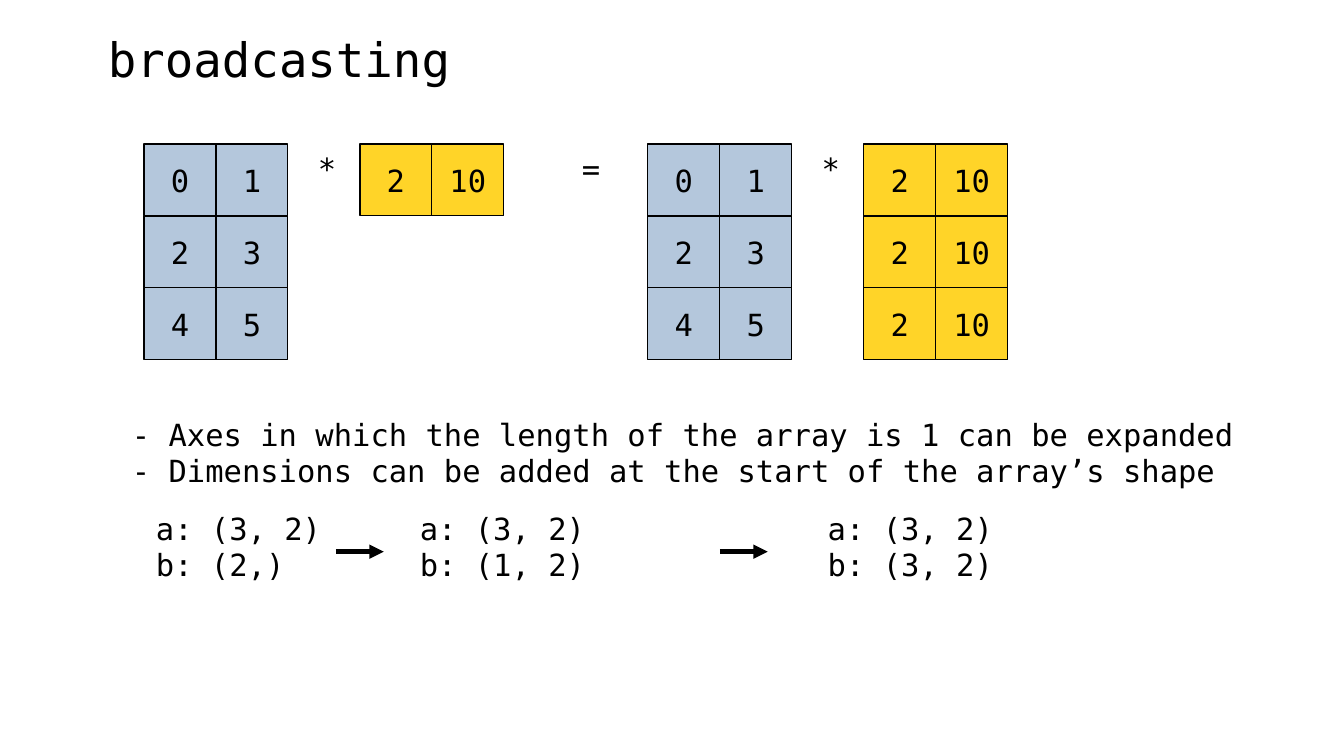
from dataclasses import dataclass

from lxml import etree
from pptx import Presentation
from pptx import util as u
from pptx.dml.color import RGBColor
from pptx.enum import shapes, text
from pptx.oxml.ns import qn

EMU_PER_PX = 7495
CELL = 72
GRID_TOP = 144
SHAPE_TOP = 504
ARROW_Y = 552
MARGIN_X, MARGIN_Y = 12, 6
FONT = "DejaVu Sans Mono"
BLACK, BLUE, YELLOW = "000000", "B4C7DC", "FFD428"


@dataclass(frozen=True)
class Matrix:
    left: int
    rows: list[list[int]]
    color: str


@dataclass(frozen=True)
class Label:
    wording: str
    left: int
    top: int
    width: int
    height: int
    size: int = 18
    indent: int = 0


A = [[0, 1], [2, 3], [4, 5]]
B = [[2, 10]]

MATRICES = [
    Matrix(144, A, BLUE),
    Matrix(360, B, YELLOW),
    Matrix(648, A, BLUE),
    Matrix(864, B * len(A), YELLOW),
]

RULES = (
    "- Axes in which the length of the array is 1 can be expanded\n"
    "- Dimensions can be added at the start of the array’s shape"
)

LABELS = [
    Label("broadcasting", 96, 24, 816, 72, size=28),
    Label("*", 288, GRID_TOP, CELL, 48, indent=18),
    Label("=", 552, GRID_TOP, CELL, 48, indent=18),
    Label("*", 792, GRID_TOP, CELL, 48, indent=18),
    Label(RULES, 120, 410, 1128, 83),
    Label("a: (3, 2)\nb: (2,)", 144, SHAPE_TOP, 264, 83),
    Label("a: (3, 2)\nb: (1, 2)", 408, SHAPE_TOP, 312, 96),
    Label("a: (3, 2)\nb: (3, 2)", 816, SHAPE_TOP, 504, 96),
]

ARROW_STARTS = [336, 720]
ARROW_LENGTH = 48


def px(length: int) -> u.Emu:
    return u.Emu(length * EMU_PER_PX)


def rgb(color: str) -> RGBColor:
    return RGBColor.from_string(color)


def write(frame, wording: str, *, size: int = 18, color: str = BLACK,
          align=text.PP_ALIGN.LEFT, anchor=text.MSO_ANCHOR.TOP,
          fit=text.MSO_AUTO_SIZE.NONE, indent: int = 0) -> None:
    frame.text = wording
    frame.word_wrap = True
    frame.auto_size = fit
    frame.vertical_anchor = anchor
    frame.margin_left = px(MARGIN_X + indent)
    frame.margin_right = px(MARGIN_X)
    frame.margin_top = frame.margin_bottom = px(MARGIN_Y)
    for paragraph in frame.paragraphs:
        paragraph.alignment = align
        for run in paragraph.runs:
            run.font.name = FONT
            run.font.size = u.Pt(size)
            run.font.color.rgb = rgb(color)


def draw_matrix(slide, matrix: Matrix) -> None:
    for row, numbers in enumerate(matrix.rows):
        for column, number in enumerate(numbers):
            cell = slide.shapes.add_shape(
                shapes.MSO_SHAPE.RECTANGLE,
                px(matrix.left + column * CELL), px(GRID_TOP + row * CELL),
                px(CELL), px(CELL))
            cell.shadow.inherit = False
            cell.fill.solid()
            cell.fill.fore_color.rgb = rgb(matrix.color)
            cell.line.color.rgb = rgb(BLACK)
            cell.line.width = u.Pt(0)
            write(cell.text_frame, str(number), align=text.PP_ALIGN.CENTER,
                  anchor=text.MSO_ANCHOR.MIDDLE)


def draw_label(slide, label: Label) -> None:
    box = slide.shapes.add_textbox(
        px(label.left), px(label.top), px(label.width), px(label.height))
    write(box.text_frame, label.wording, size=label.size, indent=label.indent,
          fit=text.MSO_AUTO_SIZE.SHAPE_TO_FIT_TEXT)


def draw_arrow(slide, start: int) -> None:
    arrow = slide.shapes.add_connector(
        shapes.MSO_CONNECTOR.STRAIGHT,
        px(start), px(ARROW_Y), px(start + ARROW_LENGTH), px(ARROW_Y))
    arrow.line.color.rgb = rgb(BLACK)
    arrow.line.width = u.Pt(2.83)
    properties = arrow.element.spPr
    etree.SubElement(properties.find(qn("a:ln")), qn("a:tailEnd"), type="triangle")
    etree.SubElement(properties, qn("a:effectLst"))


def main() -> None:
    deck = Presentation()
    deck.slide_width, deck.slide_height = u.Inches(11.02), u.Inches(6.2)
    slide = deck.slides.add_slide(deck.slide_layouts[6])
    for matrix in MATRICES:
        draw_matrix(slide, matrix)
    for label in LABELS:
        draw_label(slide, label)
    for start in ARROW_STARTS:
        draw_arrow(slide, start)
    deck.save("out.pptx")


if __name__ == "__main__":
    main()
